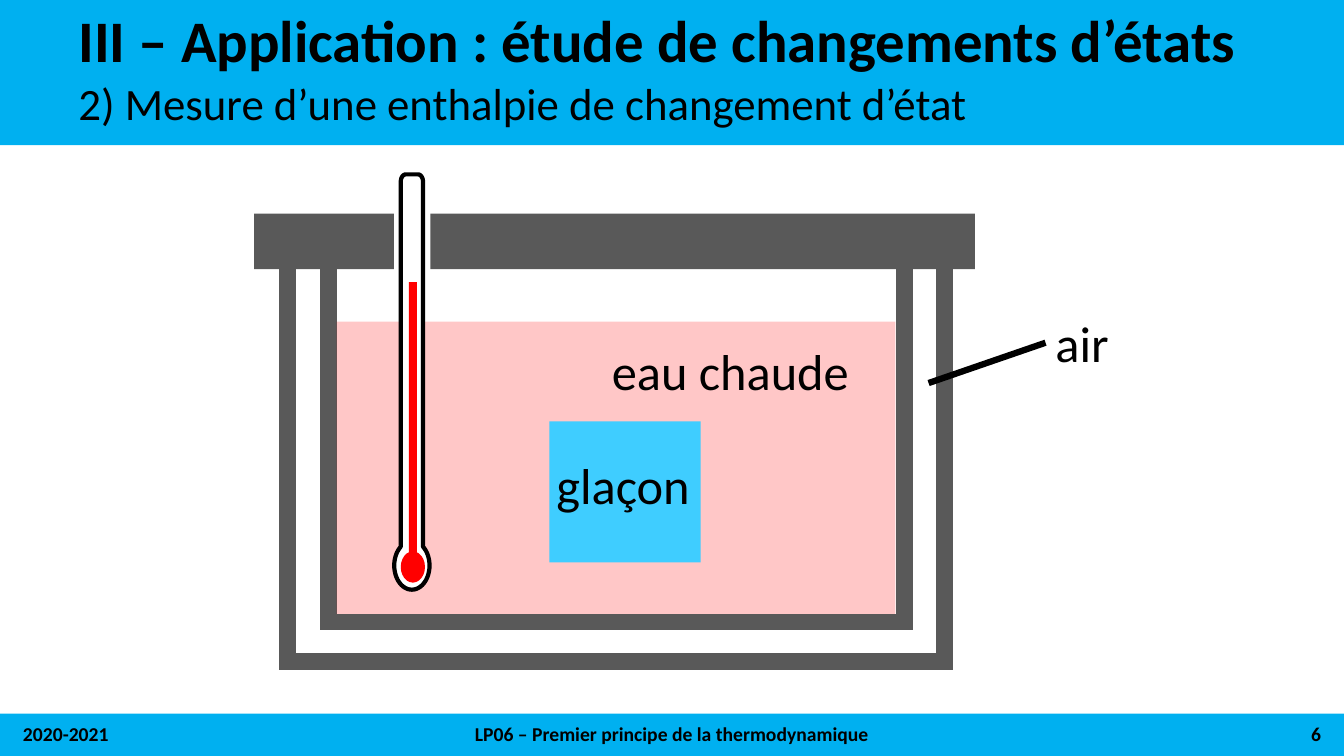
from math import acos, asin, cos, pi, sin

from lxml.etree import SubElement
from pptx import Presentation
from pptx.dml.color import RGBColor
from pptx.enum.shapes import MSO_CONNECTOR, MSO_SHAPE
from pptx.enum.text import MSO_ANCHOR, PP_ALIGN
from pptx.oxml.ns import qn
from pptx.util import Inches, Pt

BANNER_BLUE, WALL_GREY, HOT_RED = "00B0F0", "595959", "FF0000"
ICE_BLUE, BLACK, WHITE = "3FCDFF", "000000", "FFFFFF"


def rgb(value):
    return RGBColor.from_string(value)


def fill_plain(shape, color):
    """Solid fill without shadow or outline."""
    shape.shadow.inherit = False
    shape.fill.solid()
    shape.fill.fore_color.rgb = rgb(color)
    shape.line.fill.background()


def add_block(slide, box, color, preset=MSO_SHAPE.RECTANGLE, opacity=None):
    block = slide.shapes.add_shape(preset, *map(Inches, box))
    fill_plain(block, color)
    if opacity is not None:
        srgb = block.fill._xPr.find(qn("a:solidFill")).find(qn("a:srgbClr"))
        SubElement(srgb, qn("a:alpha"), val=str(opacity * 1000))
    return block


def add_line(slide, start, end, color, width):
    line = slide.shapes.add_connector(MSO_CONNECTOR.STRAIGHT, *map(Inches, (*start, *end)))
    line.line.color.rgb = rgb(color)
    line.line.width = Pt(width)
    SubElement(line._element.spPr, qn("a:effectLst"))
    return line


def add_label(slide, box, wording, size, bold=False, align=PP_ALIGN.LEFT,
              anchor=MSO_ANCHOR.MIDDLE, spacing=None):
    label = slide.shapes.add_textbox(*map(Inches, box))
    frame = label.text_frame
    frame.word_wrap = True
    frame.vertical_anchor = anchor
    frame.text = wording
    paragraph = frame.paragraphs[0]
    paragraph.alignment = align
    if spacing:
        paragraph.line_spacing = spacing
    font = paragraph.runs[0].font
    font.name, font.size, font.bold = "Calibri", Pt(size), bold
    font.color.rgb = rgb(BLACK)
    return label


def add_header(slide, box, title, subtitle):
    left, top, width, _ = box
    add_block(slide, box, BANNER_BLUE)
    text_left, text_width = left + 0.68, width - 1.59
    add_label(slide, (text_left, top + 0.12, text_width, 0.65), title, 42, bold=True, spacing=0.9)
    add_label(slide, (text_left, top + 0.81, text_width, 0.55), subtitle, 32,
              anchor=MSO_ANCHOR.TOP, spacing=0.8)


def add_footer(slide, box, date, lecture, number):
    left, top, width, _ = box
    add_block(slide, box, BANNER_BLUE)
    margin, side = 0.13, 3
    middle = width - 2 * (margin + side)
    x = left + margin
    for wording, part_width, align in ((date, side, PP_ALIGN.LEFT),
                                       (lecture, middle, PP_ALIGN.CENTER),
                                       (number, side, PP_ALIGN.RIGHT)):
        add_label(slide, (x, top, part_width, 0.4), wording, 14, bold=True, align=align)
        x += part_width


def add_vessel(slide, left, right, top, bottom):
    """Two walls and a floor, given by their centre lines."""
    half = 0.08
    for x in (left, right):
        add_line(slide, (x, top), (x, bottom + half), WALL_GREY, 12)
    add_line(slide, (left - half, bottom), (right + half, bottom), WALL_GREY, 12)


def arc(cx, cy, rx, ry, start, end, steps):
    """Points on an ellipse; angles in radians, clockwise from the right."""
    angles = (start + (end - start) * i / steps for i in range(steps + 1))
    return [(cx + rx * cos(a), cy + ry * sin(a)) for a in angles]


def add_thermometer(slide, box):
    left, top, width, height = box
    center = left + width / 2
    tube, corner = 0.11, 0.05
    bulb_rx, bulb_ry = width / 2, 0.24
    bulb_y = top + height - bulb_ry
    neck = acos(tube / bulb_rx)
    corner_y = top + 0.07
    outline = (
        arc(center - tube + corner, corner_y, corner, 0.07, pi, 1.5 * pi, 8)
        + arc(center + tube - corner, corner_y, corner, 0.07, 1.5 * pi, 2 * pi, 8)
        + arc(center, bulb_y, bulb_rx, bulb_ry, -neck, pi + neck, 48)
    )
    points = [(Inches(x), Inches(y)) for x, y in outline]
    builder = slide.shapes.build_freeform(*points[0], scale=1.0)
    builder.add_line_segments(points[1:], close=True)
    glass = builder.convert_to_shape()
    fill_plain(glass, WHITE)
    glass.line.color.rgb = rgb(BLACK)
    glass.line.width = Pt(3)
    add_block(slide, (center - 0.03, top + 1.07, 0.08, 2.8), HOT_RED)
    add_block(slide, (center - 0.11, bulb_y - 0.14, 0.24, 0.31), HOT_RED, MSO_SHAPE.OVAL)


def add_calorimeter(slide, box):
    left, top, width, height = box
    right, bottom = left + width, top + height
    rim = top + 0.24
    add_vessel(slide, left + 0.33, right - 0.3, rim, bottom - 0.09)
    add_vessel(slide, left + 0.74, right - 0.7, rim, bottom - 0.48)
    add_block(slide, (left, top, width, 0.55), WALL_GREY)
    add_block(slide, (left + 0.82, top + 1.07, 5.54, 2.9), HOT_RED, opacity=22)
    add_block(slide, (left + 1.39, top - 0.15, 0.36, 0.9), WHITE)
    add_thermometer(slide, (left + 1.39, top - 0.39, 0.35, 4.12))
    add_block(slide, (left + 2.93, top + 2.06, 1.5, 1.4), ICE_BLUE)
    add_label(slide, (left + 2.9, top + 2.27, 2.74, 0.82), "glaçon", 36)
    add_label(slide, (left + 3.45, top + 1.14, 2.74, 0.82), "eau chaude", 36)
    air = add_label(slide, (right + 0.7, top + 0.87, 0.99, 0.82), "air", 36)
    pointer = add_line(slide, (right - 0.46, top + 1.68), (right + 0.7, top + 1.28), BLACK, 4.5)
    pointer.end_connect(air, 1)


def main():
    deck = Presentation()
    deck.slide_width, deck.slide_height = Inches(13.33), Inches(7.5)
    slide = deck.slides.add_slide(deck.slide_layouts[6])
    add_header(slide, (0, -0.01, 13.33, 1.45),
               "III – Application : étude de changements d’états",
               "2) Mesure d’une enthalpie de changement d’état")
    add_footer(slide, (0, 7.08, 13.33, 0.42), "2020-2021",
               "LP06 – Premier principe de la thermodynamique", "6")
    add_calorimeter(slide, (2.52, 2.12, 7.15, 4.53))
    deck.save("out.pptx")


if __name__ == "__main__":
    main()
